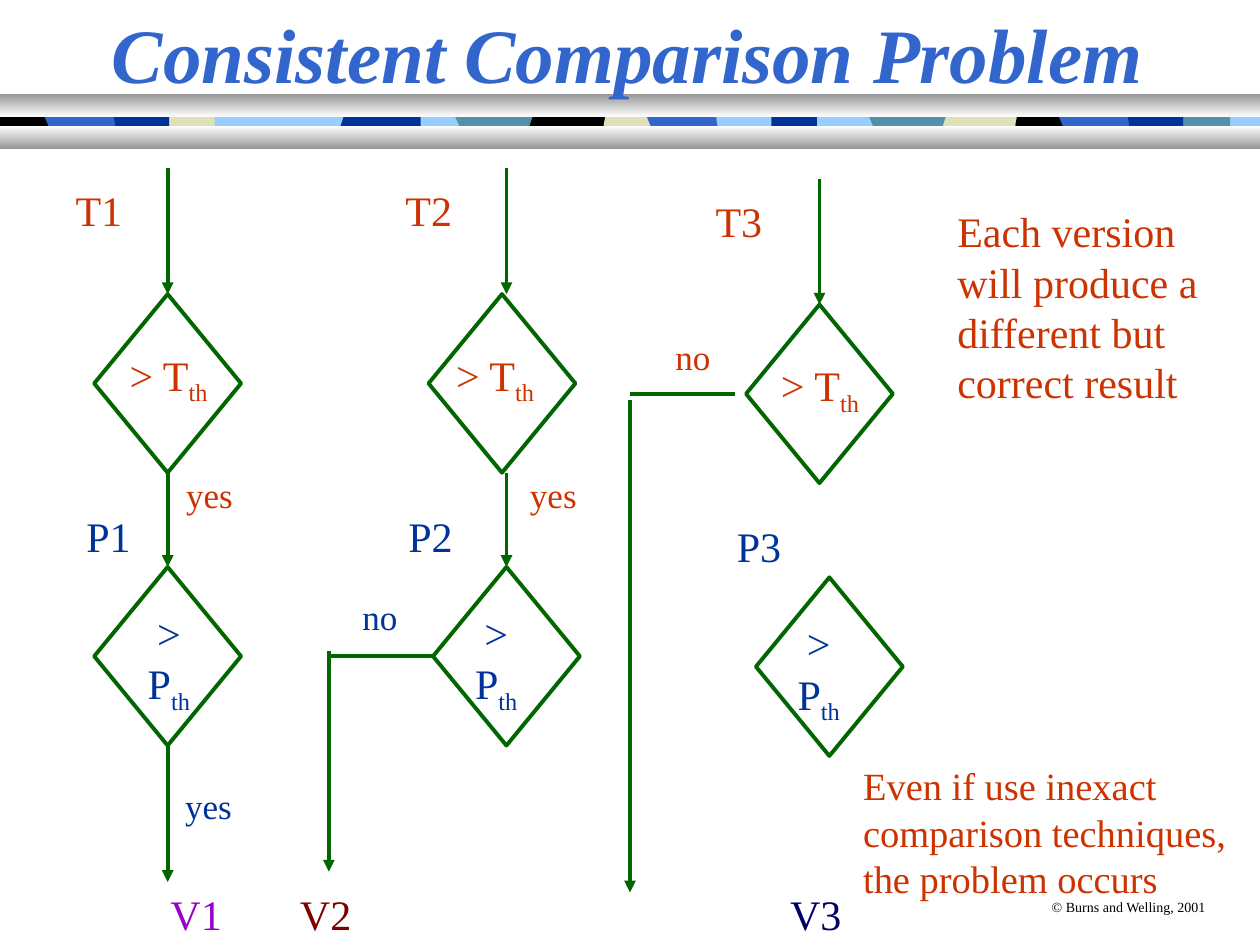
from typing import NamedTuple, Optional

from lxml import etree
from pptx import Presentation
from pptx.dml.color import RGBColor
from pptx.enum.shapes import MSO_CONNECTOR, MSO_SHAPE
from pptx.enum.text import MSO_ANCHOR, MSO_AUTO_SIZE, PP_ALIGN
from pptx.oxml.ns import qn
from pptx.util import Cm, Pt

LINE = MSO_CONNECTOR.STRAIGHT
RECT, RHOMB = MSO_SHAPE.RECTANGLE, MSO_SHAPE.DIAMOND
MID, TOP = MSO_ANCHOR.MIDDLE, MSO_ANCHOR.TOP
LEFT, CENTER = PP_ALIGN.LEFT, PP_ALIGN.CENTER
FIT, FIXED = MSO_AUTO_SIZE.SHAPE_TO_FIT_TEXT, MSO_AUTO_SIZE.NONE
FONT = "Times New Roman"
HEX = {
    "blue": "3366CC", "navy": "003399", "sky": "99CCFF", "teal": "5490A8",
    "sand": "E1E1B7", "black": "000000", "white": "FFFFFF", "grey": "989898",
    "green": "006600", "red": "CC3300", "plum": "9900CC", "wine": "800000",
    "ink": "000066",
}


class Tile(NamedTuple):
    kind: str
    x: float
    hue: str


class Lane(NamedTuple):
    num: int
    drop: float   # downward shift of the whole lane
    axis: float   # x of the vertical arrows
    temp: float   # left of the upper diamond
    press: float  # left of the lower diamond
    tags: tuple   # left of T, > T, P, > P and V texts
    hue: str


class Label(NamedTuple):
    text: str
    x: float
    y: float
    wide: float
    high: float
    hue: str
    size: int = 24
    sub: str = ""


# Tile outlines, relative to the tile's left and the strip's top
STRIP, TALL = 2.16, 0.72
EDGE = {
    "base": (25.4, [(0, TALL), (0, 0)]),
    "lead": (1.6, [(0, TALL), (0.08, 0.4), (0, 0.22), (-0.08, 0.1), (0, 0)]),
    "wedge": (1.6, [(0, TALL), (-0.08, 0.58), (-0.02, 0.4), (0.05, 0.19), (0, 0)]),
    "cell": (0.95, [(0, TALL), (-0.1, 0.5), (-0.1, 0.22), (0, 0)]),
    "block": (1.1, [(0, TALL), (-0.11, 0.56), (-0.15, 0.36), (-0.11, 0.14), (0, 0)]),
    "start": (1.28, [(0, TALL), (0, 0)]),
    "notch": (1.6, [(0, TALL), (0.17, 0.57), (0.2, 0.46), (0.1, 0.22), (0, 0)]),
    "plain": (1.07, [(0, TALL), (-0.05, 0.6), (0, 0.46), (-0.04, 0.22), (0, 0)]),
}
TILES = [
    Tile("base", 0, "sky"),
    Tile("lead", 17.53, "teal"), Tile("wedge", 19.02, "sand"),
    Tile("cell", 23.85, "teal"), Tile("block", 20.62, "black"),
    Tile("notch", 21.26, "blue"), Tile("plain", 22.78, "navy"),
    Tile("lead", 9.19, "teal"), Tile("wedge", 10.69, "black"),
    Tile("cell", 15.52, "navy"), Tile("block", 12.32, "sand"),
    Tile("notch", 12.95, "blue"), Tile("plain", 14.48, "sky"),
    Tile("lead", 5.38, "sky"), Tile("wedge", 6.88, "navy"),
    Tile("cell", 3.38, "sand"), Tile("start", 0, "black"),
    Tile("notch", 0.81, "blue"), Tile("plain", 2.34, "navy"),
]
LANES = [
    Lane(1, 0, 3.38, 1.9, 1.9, (1.27, 2.36, 1.49, 2.39, 3.18), "plum"),
    Lane(2, 0, 10.21, 8.64, 8.73, (7.92, 8.94, 7.98, 8.99, 5.79), "wine"),
    Lane(3, 0.21, 16.52, 15.04, 15.24, (14.17, 15.49, 14.6, 15.49, 15.67), "ink"),
]
ANSWERS = [
    Label("yes", 3.5, 9.4, 1.45, 1.12, "red", 20),
    Label("yes", 10.43, 9.4, 1.45, 1.12, "red", 20),
    Label("yes", 3.48, 15.67, 1.45, 1.12, "navy", 20),
    Label("no", 13.36, 6.63, 1.22, 1.12, "red", 20),
    Label("no", 7.05, 11.86, 1.22, 1.12, "navy", 20),
]
WIDE, HIGH = 2.96, 3.6        # diamond size
START, UPPER, LOWER = 3.39, 5.93, 11.43


def tint(name: str) -> RGBColor:
    return RGBColor.from_string(HEX[name])


def add_run(para, text: str, hue: str, size: int):
    run = para.add_run()
    run.text = text
    run.font.name, run.font.size = FONT, Pt(size)
    run.font.color.rgb = tint(hue)
    return run


def draw_tile(slide, tile: Tile) -> None:
    width, edge = EDGE[tile.kind]
    pts = [(Cm(tile.x + x), Cm(STRIP + y)) for x, y in
           edge + [(width, 0), (width, TALL)]]
    pen = slide.shapes.build_freeform(*pts[0])
    pen.add_line_segments(pts[1:])
    form = pen.convert_to_shape()
    form.shadow.inherit = False
    form.fill.solid()
    form.fill.fore_color.rgb = tint(tile.hue)
    form.line.fill.background()


def draw_bar(slide, y: float, hues: tuple) -> None:
    bar = slide.shapes.add_shape(RECT, 0, Cm(y), Cm(25.4), Cm(0.46))
    bar.shadow.inherit = False
    bar.line.fill.background()
    bar.fill.gradient()
    bar.fill.gradient_angle = 270
    for stop, hue in zip(bar.fill.gradient_stops, hues):
        stop.color.rgb = tint(hue)


def draw_rhomb(slide, x: float, y: float):
    rhomb = slide.shapes.add_shape(RHOMB, Cm(x), Cm(y), Cm(WIDE), Cm(HIGH))
    rhomb.shadow.inherit = False
    rhomb.fill.background()
    rhomb.line.color.rgb, rhomb.line.width = tint("green"), Pt(2.25)
    return rhomb


def draw_line(slide, x: float, y: float, x2: float, y2: float,
              head: bool = True, src: Optional[tuple] = None,
              dest: Optional[tuple] = None) -> None:
    line = slide.shapes.add_connector(LINE, Cm(x), Cm(y), Cm(x2), Cm(y2))
    line.line.color.rgb, line.line.width = tint("green"), Pt(2.25)
    if head:
        etree.SubElement(line.line._get_or_add_ln(), qn("a:tailEnd"), type="triangle")
    etree.SubElement(line._element.spPr, qn("a:effectLst"))
    if src:
        line.begin_connect(*src)
    if dest:
        line.end_connect(*dest)


def draw_label(slide, label: Label, align=CENTER, wrap: bool = False,
               anchor=MID) -> None:
    box = slide.shapes.add_textbox(Cm(label.x), Cm(label.y), Cm(label.wide), Cm(label.high))
    frame = box.text_frame
    frame.word_wrap, frame.auto_size = wrap, FIT
    frame.vertical_anchor = anchor
    for i, text in enumerate(label.text.split("\n")):
        para = frame.add_paragraph() if i else frame.paragraphs[0]
        para.alignment = align
        add_run(para, text, label.hue, label.size)
    if label.sub:
        low = add_run(para, label.sub, label.hue, label.size)
        low.font._element.set("baseline", "-25000")


def draw_lane(slide, lane: Lane) -> tuple:
    drop, axis = lane.drop, lane.axis
    temp = draw_rhomb(slide, lane.temp, UPPER + drop)
    press = draw_rhomb(slide, lane.press, LOWER + drop)
    mid = lane.num != 2  # the second lane's arrow runs beside the upper tip
    draw_line(slide, axis, START + drop, axis, UPPER + drop,
              dest=(temp, 0) if mid else None)
    if lane.num < 3:
        draw_line(slide, axis, UPPER + HIGH, axis, LOWER,
                  src=(temp, 2) if mid else None, dest=(press, 0))
    t, t_test, p, p_test, v = lane.tags
    for label in (
        Label(f"T{lane.num}", t, 3.6 + drop, 1.45, 1.27, "red"),
        Label("> T", t_test, 6.91 + drop, 2.08, 1.42, "red", sub="th"),
        Label(f"P{lane.num}", p, 10.16 + drop, 1.4, 1.27, "navy"),
        Label("> P", p_test, 12.62 + drop, 2.03, 1.42, "navy", sub="th"),
        Label(f"V{lane.num}", v, 17.78, 1.55, 1.27, lane.hue),
    ):
        draw_label(slide, label)
    return temp, press


def main() -> None:
    deck = Presentation()
    deck.slide_width, deck.slide_height = Cm(25.4), Cm(19.05)
    slide = deck.slides.add_slide(deck.slide_layouts[5])

    # Header strip and copyright
    for tile in TILES:
        draw_tile(slide, tile)
    draw_bar(slide, 1.9, ("grey", "white"))
    draw_bar(slide, 2.54, ("white", "grey"))
    draw_label(slide, Label("© Burns and Welling, 2001", 20.95, 17.98, 3.63, 0.61,
                            "black", 8), LEFT, anchor=TOP)

    # Title, brought in front of the strip
    title = slide.shapes.title
    title.left, title.top, title.width, title.height = 0, 0, Cm(25.32), Cm(2.11)
    frame = title.text_frame
    frame.auto_size, frame.vertical_anchor = FIXED, MID
    frame.paragraphs[0].alignment = CENTER
    run = add_run(frame.paragraphs[0], "Consistent Comparison Problem", "blue", 44)
    run.font.bold = run.font.italic = True
    slide.shapes._spTree.append(title._element)

    # Three versions of the decision chain
    first, second, _ = [draw_lane(slide, lane) for lane in LANES]
    draw_line(slide, 3.38, LOWER + HIGH, 3.38, 17.78, src=(first[1], 2))
    draw_line(slide, 8.73, 13.23, 6.63, 13.23, head=False, src=(second[1], 1))
    draw_line(slide, 6.63, 13.12, 6.63, 17.57)
    draw_line(slide, 14.81, 7.94, 12.7, 7.94, head=False)
    draw_line(slide, 12.7, 8.06, 12.7, 17.99)
    for label in ANSWERS:
        draw_label(slide, label)

    # Remarks
    draw_label(slide, Label("Each version will produce a different but correct result",
                            19.05, 4.02, 6.35, 4.32, "red"), LEFT, wrap=True)
    draw_label(slide, Label("Even if use inexact\ncomparison techniques,\nthe problem occurs",
                            17.15, 15.24, 7.82, 3.05, "red", 22), LEFT)
    deck.save("out.pptx")


if __name__ == "__main__":
    main()
